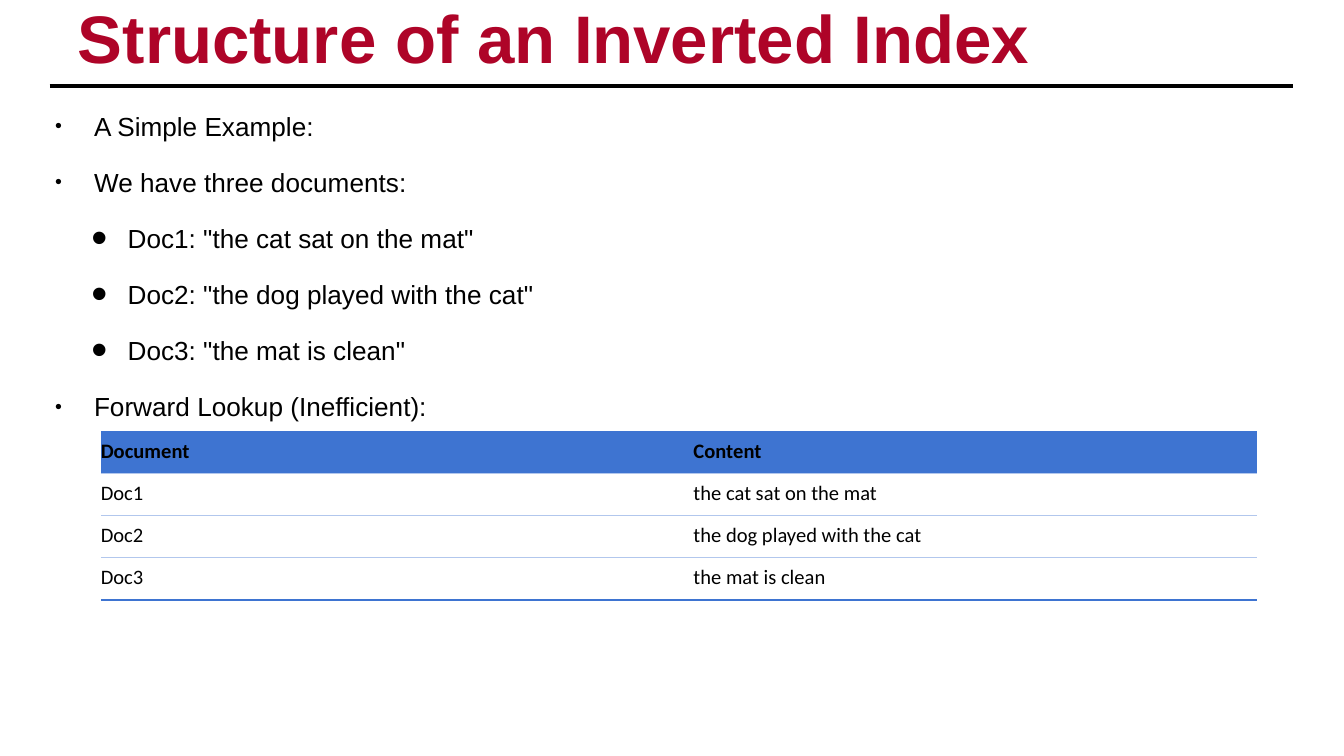
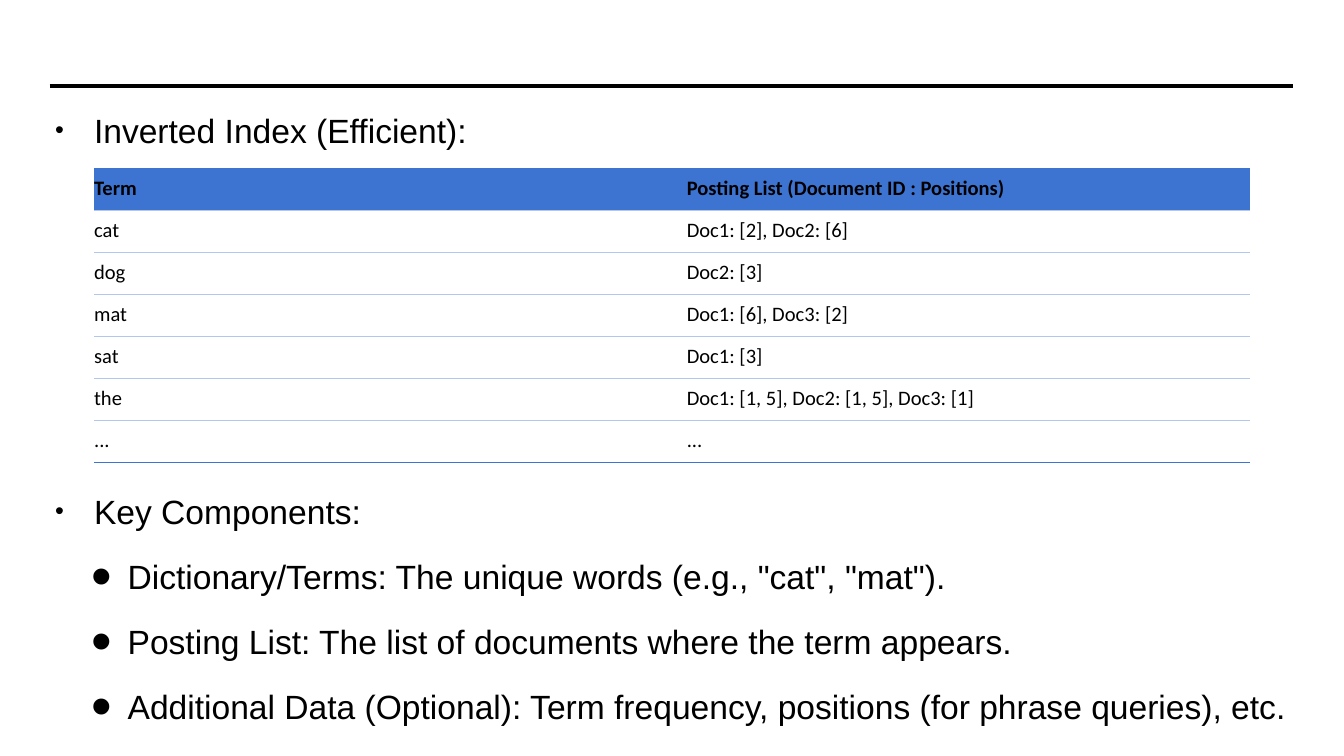
from dataclasses import dataclass

from lxml.etree import SubElement
from pptx import Presentation
from pptx.dml.color import RGBColor
from pptx.enum.shapes import MSO_CONNECTOR
from pptx.enum.text import MSO_ANCHOR
from pptx.oxml.ns import qn
from pptx.util import Inches, Pt

SLIDE_WIDTH = Inches(10)
SLIDE_HEIGHT = SLIDE_WIDTH * 9 // 16


@dataclass(frozen=True)
class Theme:
    title_color: str = "AE0428"
    ink: str = "000000"
    paper: str = "FFFFFF"
    header_fill: str = "3E74D1"
    row_line: str = "B2C7ED"
    text_font: str = "Arial"
    table_font: str = "Calibri"
    title_size: float = 36
    table_size: float = 11
    table_leading: float = 12.5
    space_before: float = 12.5
    space_after: float = 0.75
    rule_width: float = 2
    border_width: float = 0.75
    inset: float = 0.03
    row_height: float = 0.31
    cell_side: float = 0.11
    cell_edge: float = 0.07


@dataclass(frozen=True)
class Box:
    """Left, top, width and height in percent of the slide."""
    left: float
    top: float
    width: float
    height: float = 0

    def lengths(self):
        return (round(SLIDE_WIDTH * self.left / 100),
                round(SLIDE_HEIGHT * self.top / 100),
                round(SLIDE_WIDTH * self.width / 100),
                round(SLIDE_HEIGHT * self.height / 100))


THEME = Theme()
RULE = Box(3.7, 11.38, 92.5)
TITLE = Box(5.5, 1.78, 89.1, 8.71)
BODY = Box(3.8, 14.04, 92.4, 78.76)

# Indent, hanging part (inches) and bullet size (percent) of each level
LEVELS = [(0.29, 0.29, 75), (0.54, 0.27, 175)]


def write_text(para, text, *, size, font=THEME.text_font, color=THEME.ink,
               bold=False, leading=None, before=None, after=None):
    if leading is not None:
        para.line_spacing = leading
    if before is not None:
        para.space_before = Pt(before)
    if after is not None:
        para.space_after = Pt(after)
    span = para.add_run()
    span.text = text
    span.font.size = Pt(size)
    span.font.name = font
    span.font.bold = bold
    span.font.color.rgb = RGBColor.from_string(color)


def add_frame(page, box, anchor=MSO_ANCHOR.TOP):
    frame = page.shapes.add_textbox(*box.lengths()).text_frame
    frame.word_wrap = True
    frame.vertical_anchor = anchor
    frame.margin_left = frame.margin_right = Inches(THEME.inset)
    frame.margin_top = frame.margin_bottom = Inches(THEME.inset)
    return frame


def set_bullet(para, level):
    indent, hanging, percent = LEVELS[level]
    para.level = level
    properties = para._p.get_or_add_pPr()
    properties.set("marL", str(Inches(indent)))
    properties.set("indent", str(-Inches(hanging)))
    SubElement(properties, qn("a:buSzPct")).set("val", str(percent * 1000))
    SubElement(properties, qn("a:buFont")).set("typeface", THEME.text_font)
    SubElement(properties, qn("a:buChar")).set("char", "•")


def add_header(page, title=None):
    # Rule across the top
    left, top, width, height = RULE.lengths()
    rule = page.shapes.add_connector(MSO_CONNECTOR.STRAIGHT, left, top,
                                     left + width, top + height)
    rule.line.color.rgb = RGBColor.from_string(THEME.ink)
    rule.line.width = Pt(THEME.rule_width)
    SubElement(rule._element.spPr, qn("a:effectLst"))

    # Title above the rule
    if title:
        frame = add_frame(page, TITLE, MSO_ANCHOR.BOTTOM)
        write_text(frame.paragraphs[0], title, size=THEME.title_size,
                   color=THEME.title_color, bold=True, leading=0.7)


def add_bullets(page, box, items, size):
    frame = add_frame(page, box)
    for number, (level, text) in enumerate(items):
        para = frame.add_paragraph() if number else frame.paragraphs[0]
        set_bullet(para, level)
        write_text(para, text, size=size, after=THEME.space_after,
                   before=THEME.space_before if number else 0)


def add_border(cell, side, color):
    line = SubElement(cell._tc.get_or_add_tcPr(), qn(f"a:{side}"),
                      w=str(Pt(THEME.border_width)))
    fill = SubElement(line, qn("a:solidFill"))
    SubElement(fill, qn("a:srgbClr")).set("val", color)


def add_lookup_table(page, box, rows):
    left, top, width, _ = box.lengths()
    height = Inches(THEME.row_height) * len(rows)
    table = page.shapes.add_table(len(rows), len(rows[0]), left, top,
                                  width, height).table
    table.first_row = table.horz_banding = False
    # Plain style without grid
    style = table._tbl.tblPr.find(qn("a:tableStyleId"))
    style.text = "{2D5ABB26-0587-4C30-8999-92F81FD0307C}"

    last = len(rows) - 1
    for r, row in enumerate(rows):
        for c, text in enumerate(row):
            cell = table.cell(r, c)
            cell.vertical_anchor = MSO_ANCHOR.MIDDLE
            cell.margin_left = Inches(THEME.cell_side if c else 0)
            cell.margin_right = Inches(0 if r and c else THEME.cell_side)
            cell.margin_top = cell.margin_bottom = Inches(THEME.cell_edge)
            if r:
                add_border(cell, "lnT", THEME.row_line)
                add_border(cell, "lnB", THEME.header_fill if r == last
                           else THEME.row_line)
            cell.fill.solid()
            cell.fill.fore_color.rgb = RGBColor.from_string(
                THEME.paper if r else THEME.header_fill)
            write_text(cell.text_frame.paragraphs[0], text,
                       size=THEME.table_size, font=THEME.table_font,
                       bold=r == 0, leading=Pt(THEME.table_leading))


def add_page(deck, title=None):
    page = deck.slides.add_slide(deck.slide_layouts[6])
    add_header(page, title)
    return page


def build_forward_lookup(deck):
    page = add_page(deck, "Structure of an Inverted Index")
    add_bullets(page, BODY, [
        (0, "A Simple Example:"),
        (0, "We have three documents:"),
        (1, 'Doc1: "the cat sat on the mat"'),
        (1, 'Doc2: "the dog played with the cat"'),
        (1, 'Doc3: "the mat is clean"'),
        (0, "Forward Lookup (Inefficient):"),
    ], size=14)
    add_lookup_table(page, Box(7.5, 57.07, 86), [
        ("Document", "Content"),
        ("Doc1", "the cat sat on the mat"),
        ("Doc2", "the dog played with the cat"),
        ("Doc3", "the mat is clean"),
    ])


def build_inverted_index(deck):
    page = add_page(deck)
    # Heading above the table, components below it
    add_bullets(page, Box(BODY.left, BODY.top, BODY.width, 7.5),
                [(0, "Inverted Index (Efficient):")], size=18)
    add_bullets(page, Box(BODY.left, 64.36, BODY.width, 28.44), [
        (0, "Key Components:"),
        (1, 'Dictionary/Terms: The unique words (e.g., "cat", "mat").'),
        (1, "Posting List: The list of documents where the term appears."),
        (1, "Additional Data (Optional): Term frequency, positions "
            "(for phrase queries), etc."),
    ], size=18)
    add_lookup_table(page, Box(7, 22.22, 86), [
        ("Term", "Posting List (Document ID : Positions)"),
        ("cat", "Doc1: [2], Doc2: [6]"),
        ("dog", "Doc2: [3]"),
        ("mat", "Doc1: [6], Doc3: [2]"),
        ("sat", "Doc1: [3]"),
        ("the", "Doc1: [1, 5], Doc2: [1, 5], Doc3: [1]"),
        ("...", "..."),
    ])


def main():
    deck = Presentation()
    deck.slide_width = SLIDE_WIDTH
    deck.slide_height = SLIDE_HEIGHT
    build_forward_lookup(deck)
    build_inverted_index(deck)
    deck.save("out.pptx")


if __name__ == "__main__":
    main()
